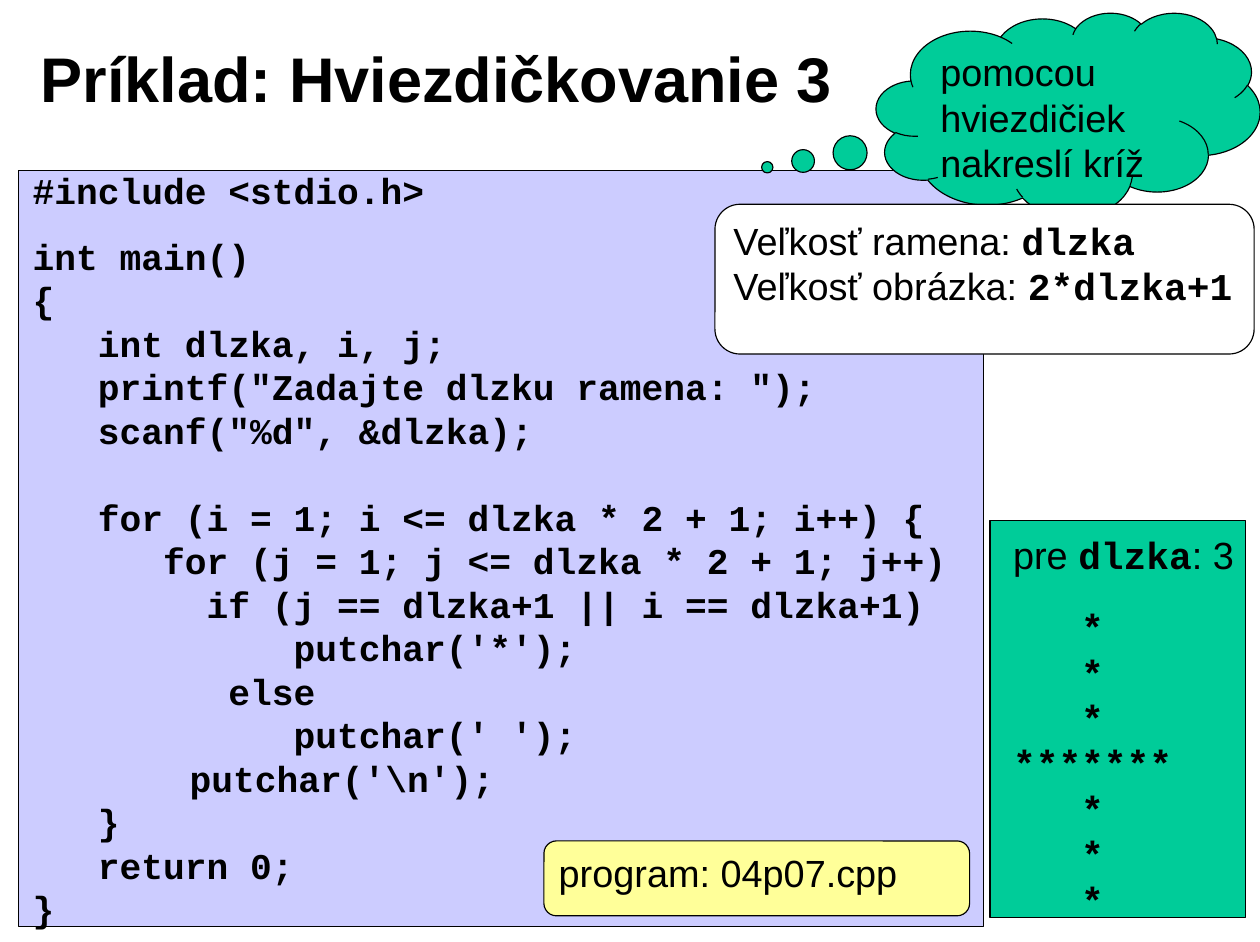
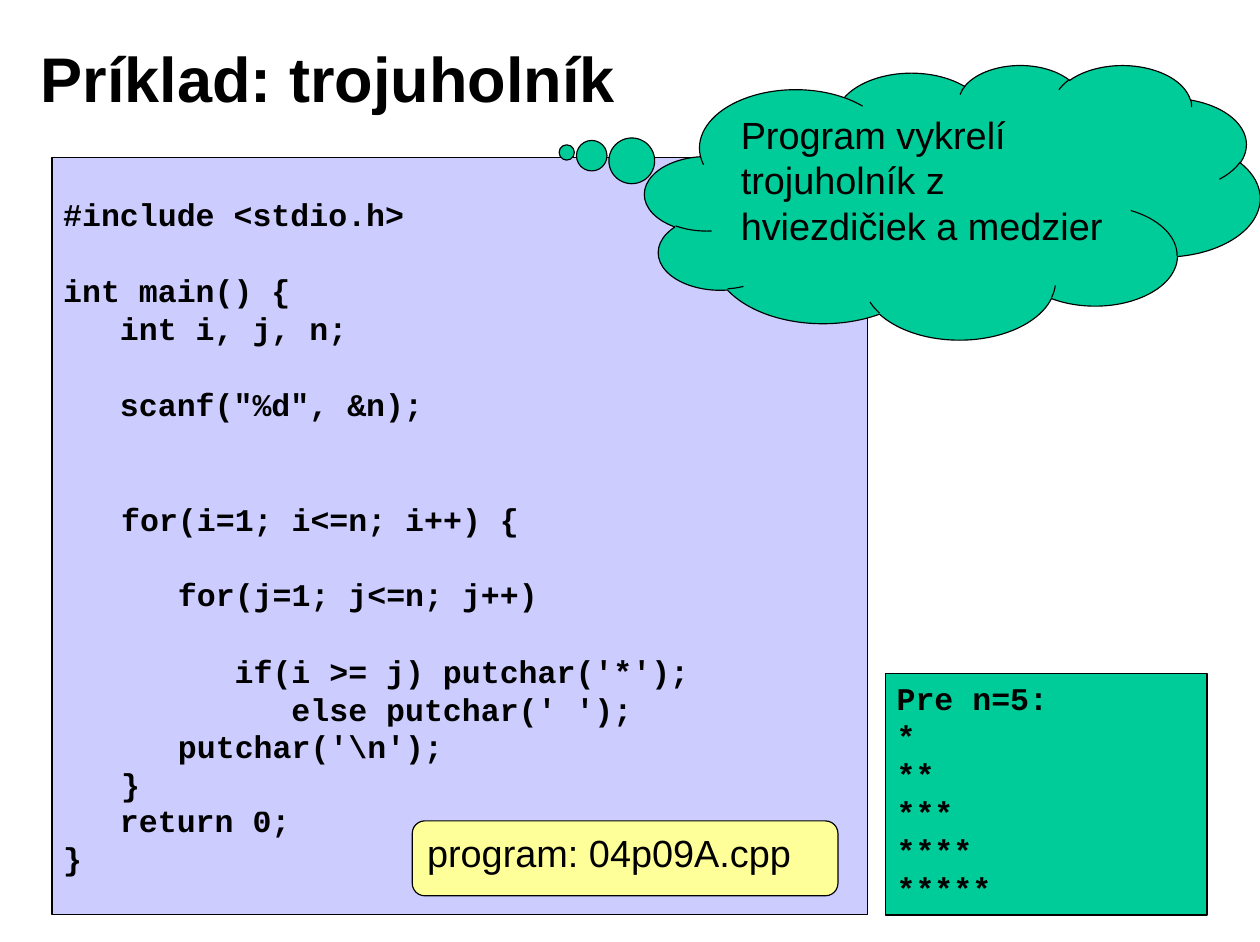
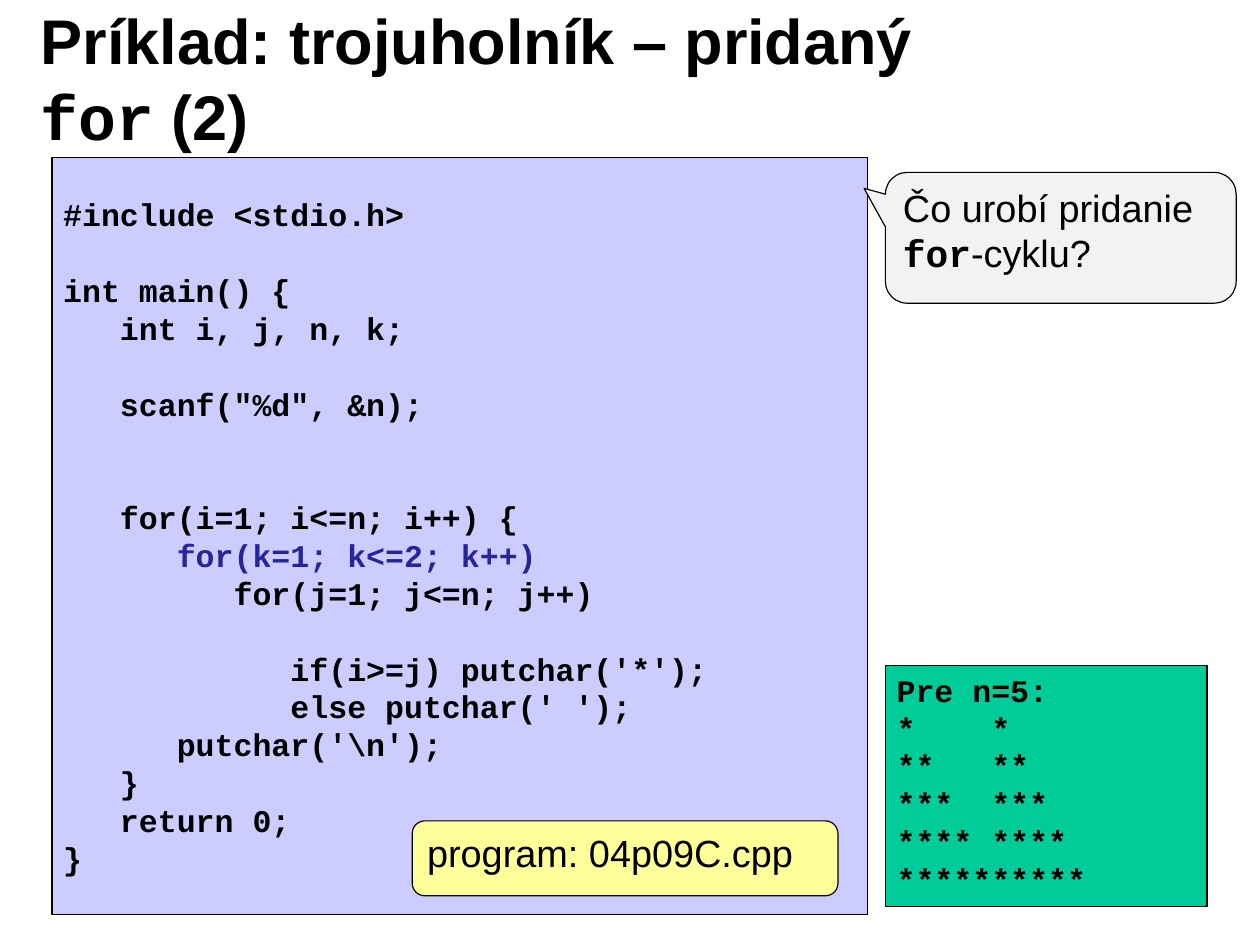
import pptx
import pptx.util
import pptx.dml.color
import pptx.enum.shapes
import pptx.enum.text
import pptx.oxml
import pptx.oxml.ns
from dataclasses import dataclass
from lxml import etree

Pt = pptx.util.Pt
RGB = pptx.dml.color.RGBColor.from_string
SHAPE = pptx.enum.shapes.MSO_SHAPE
ANCHOR = pptx.enum.text.MSO_ANCHOR


@dataclass(frozen=True)
class Theme:
    ink: str = "000000"
    accent: str = "262699"
    code_fill: str = "CCCCFF"
    green: str = "00CC99"
    yellow: str = "FFFF99"
    grey: str = "F2F2F2"
    white: str = "FFFFFF"
    body_font: str = "Arial"
    code_font: str = "Courier New"
    title_size: float = 40
    body_size: float = 24
    large_code: float = 23
    code_size: float = 20
    outline: float = 0.75
    tab: float = 72


theme = Theme()


def write(shape, lines, size, bold=False, middle=False, inset=(7.2, 3.6)):
    """Fill a shape: numbers are gaps in points, `backticks` enclose code."""
    frame = shape.text_frame
    frame.word_wrap = True
    frame.vertical_anchor = ANCHOR.MIDDLE if middle else ANCHOR.TOP
    frame.margin_left = frame.margin_right = Pt(inset[0])
    frame.margin_top = frame.margin_bottom = Pt(inset[1])
    paragraph, gap = None, 0
    for line in lines:
        if not isinstance(line, str):
            gap += line
            continue
        paragraph = frame.add_paragraph() if paragraph else frame.paragraphs[0]
        paragraph.alignment = pptx.enum.text.PP_ALIGN.LEFT
        if gap:
            paragraph.space_before = Pt(gap)
            gap = 0
        if "\t" in line:
            qn = pptx.oxml.ns.qn
            stops = etree.SubElement(paragraph._p.get_or_add_pPr(), qn("a:tabLst"))
            etree.SubElement(stops, qn("a:tab"), pos=str(Pt(theme.tab)), algn="l")
        for index, part in enumerate(line.split("`")):
            if part:
                is_code = index % 2 == 1
                run = paragraph.add_run()
                run.text = part
                run.font.name = theme.code_font if is_code else theme.body_font
                run.font.size = Pt(size)
                run.font.bold = bold or is_code
                run.font.color.rgb = RGB(theme.ink)


def panel(slide, kind, place, fill, adjustments=(), outlined=True):
    """Add a filled shape at (left, top, width, height)."""
    shape = slide.shapes.add_shape(kind, *map(Pt, place))
    shape.shadow.inherit = False
    shape.fill.solid()
    shape.fill.fore_color.rgb = RGB(fill)
    if outlined:
        shape.line.color.rgb = RGB(theme.ink)
        shape.line.width = Pt(theme.outline)
    else:
        shape.line.fill.background()
    for index, value in enumerate(adjustments):
        shape.adjustments[index] = value
    return shape


deck = pptx.Presentation()
deck.slide_width, deck.slide_height = Pt(799.2), Pt(597.6)

# Titles
slides = []
for title in ("Príklad: Hviezdičkovanie 3", "Príklad: trojuholník",
              "Príklad: trojuholník – pridaný `for` (2)"):
    slide = deck.slides.add_slide(deck.slide_layouts[6])
    heading = slide.shapes.add_textbox(Pt(18), Pt(12.2), Pt(642), Pt(73.5))
    write(heading, [title], theme.title_size, bold=True, middle=True, inset=(8, 4))
    slides.append(slide)
cross, triangle, double_triangle = slides

# Cross: program
blank = 1.2 * theme.large_code
panel(cross, SHAPE.RECTANGLE, (12, 108, 612, 480), theme.code_fill)
program = cross.shapes.add_textbox(Pt(13.7), Pt(103), Pt(623), Pt(500))
write(program, [
    "`#include <stdio.h>`",
    14.4,
    "`int main()`",
    "`{`",
    "`   int dlzka, i, j;`",
    "`   printf(\"Zadajte dlzku ramena: \");`",
    "`   scanf(\"%d\", &dlzka);`",
    blank,
    "`   for (i = 1; i <= dlzka * 2 + 1; i++) {`",
    "`      for (j = 1; j <= dlzka * 2 + 1; j++)`",
    "`        if (j == dlzka+1 || i == dlzka+1)`",
    "`            putchar('*');`",
    "`         else`",
    "`            putchar(' ');`",
    "`\t  putchar('\\n');`",
    "`   }`",
    "`   return 0;`",
    "`}`",
], theme.large_code)

# Cross: task, sample output
task = panel(cross, SHAPE.CLOUD_CALLOUT, (555.8, 8, 243.4, 129.5), theme.green, (-0.784, 0.258))
write(task, ["pomocou hviezdičiek nakreslí kríž"], theme.body_size)
panel(cross, SHAPE.RECTANGLE, (628, 330, 162, 252), theme.green)
sample = cross.shapes.add_textbox(Pt(635.5), Pt(334), Pt(159), Pt(260))
arm = ["`   *`"] * 3
write(sample, ["pre `dlzka`: 3", 16.8, *arm, "`*******`", *arm], theme.body_size)

# Triangles: sample outputs and code panels
blank = 1.2 * theme.code_size
opening = ["`#include <stdio.h>`", blank, "`int main() {`"]
reading = [blank, "`   scanf(\"%d\", &n);`"]
closing = ["`   return 0;`", "`}`"]
triangle_program = [*opening, "`   int i, j, n;`", *reading, 10 * blank, *closing]
double_program = [
    *opening, "`   int i, j, n, k;`", *reading,
    2 * blank,
    "`   for(i=1; i<=n; i++) {`",
    "`      for(k=1; k<=2; k++)`",
    "`         for(j=1; j<=n; j++)`",
    blank,
    "`            if(i>=j) putchar('*');`",
    "`            else putchar(' ');`",
    "`      putchar('\\n');`",
    "`   }`",
    *closing,
]
stars = ["*" * count for count in range(1, 6)]
single_stars = [f"`{row}`" for row in stars]
double_stars = [f"`{row:<5}{row}`" for row in stars]
for slide, sample_top, rows, lines in (
        (triangle, 427.5, single_stars, triangle_program),
        (double_triangle, 422, double_stars, double_program)):
    sample = panel(slide, SHAPE.RECTANGLE, (561.6, sample_top, 204, 153), theme.green)
    write(sample, ["`Pre n=5:`", *rows], theme.code_size)
    program = panel(slide, SHAPE.RECTANGLE, (33, 100, 517, 480), theme.code_fill)
    write(program, lines, theme.code_size, middle=True)
added_loop = program.text_frame.paragraphs[5].runs[0]
added_loop.font.color.rgb = RGB(theme.accent)

# Triangle: task and the nested parts of the program
task = panel(triangle, SHAPE.CLOUD_CALLOUT, (409, 41, 390.2, 174.2), theme.green, (-0.627, -0.18))
write(task, ["Program vykrelí trojuholník z hviezdičiek a medzier"], theme.body_size)
for place, lines in (
        ((69.8, 311, 474, 204), ["`for(i=1; i<=n; i++) {`", 6 * blank, "`}`"]),
        ((105.8, 361.5, 264, 31), ["`for(j=1; j<=n; j++)`"]),
        ((141.8, 412, 330, 51), ["`if(i >= j) putchar('*');`", "`   else putchar(' ');`"]),
        ((105.8, 461, 201, 25), ["`putchar('\\n');`"])):
    nested = panel(triangle, SHAPE.RECTANGLE, place, theme.code_fill, outlined=False)
    write(nested, lines, theme.code_size, middle=True)

# Double triangle: question
question = panel(double_triangle, SHAPE.ROUNDED_RECTANGULAR_CALLOUT, (561.6, 109.4, 222.5, 83),
                 theme.grey, (-0.561, -0.378, 0.167))
write(question, ["Čo urobí pridanie `for`-cyklu?"], theme.body_size)

# Program file labels
for slide, left, top, file_name in ((cross, 345, 533.5, "04p07.cpp"),
                                    (triangle, 261.5, 520.8, "04p09A.cpp"),
                                    (double_triangle, 261.5, 520.8, "04p09C.cpp")):
    label = panel(slide, SHAPE.ROUNDED_RECTANGLE, (left, top, 270, 47.5), theme.yellow, (0.167,))
    write(label, [f"program: {file_name}"], theme.body_size)

# Cross: dimensions
dimensions = panel(cross, SHAPE.ROUNDED_RECTANGLE, (453.5, 129.6, 342, 95), theme.white, (0.167,))
write(dimensions, ["Veľkosť ramena: `dlzka`", "Veľkosť obrázka: `2*dlzka+1`"], theme.body_size)

deck.save("out.pptx")
